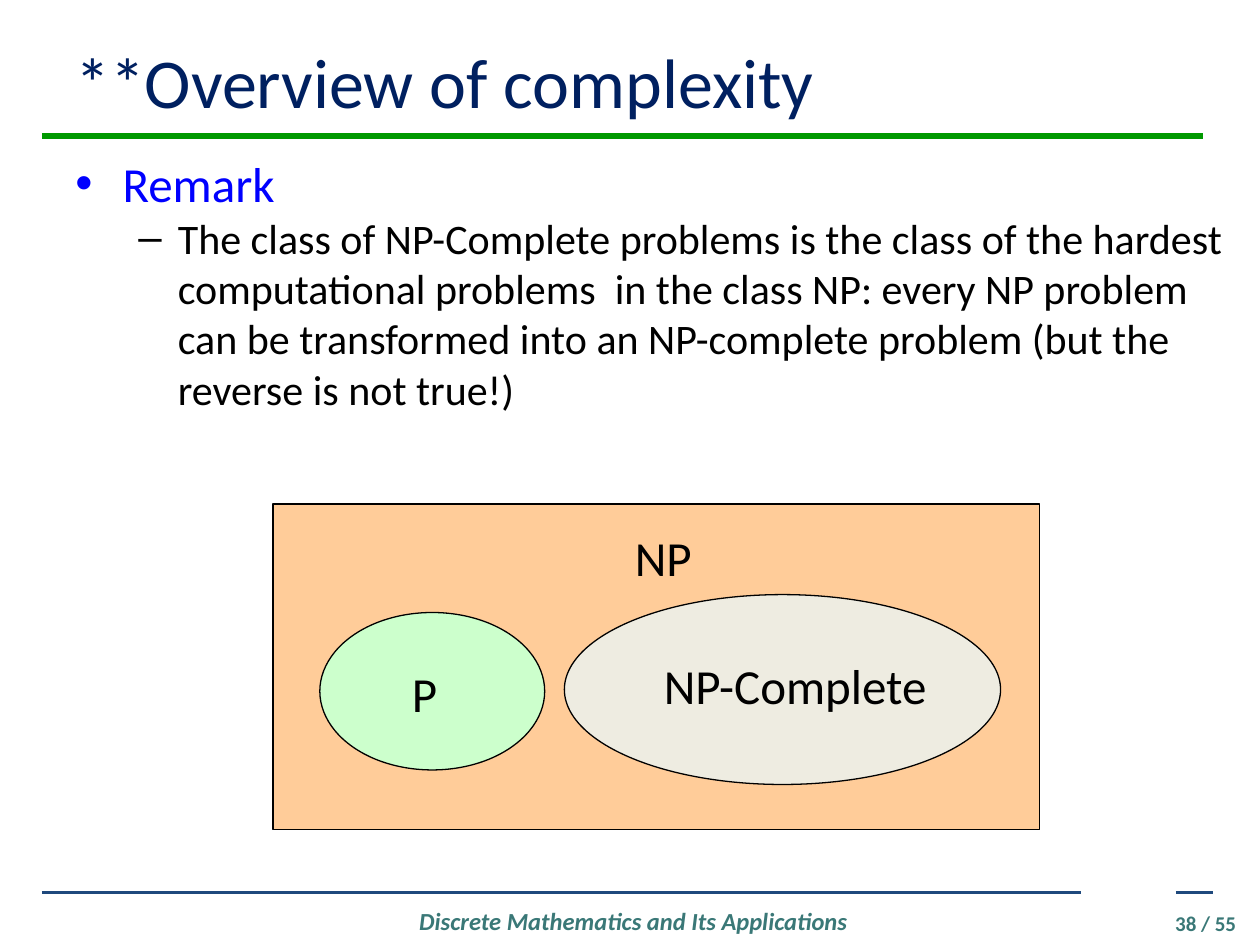
import pptx
import pptx.util
import pptx.dml.color
import pptx.enum.shapes
import pptx.enum.text
import pptx.oxml
import pptx.oxml.ns

Pt = pptx.util.Pt
Align = pptx.enum.text.PP_ALIGN
Anchor = pptx.enum.text.MSO_ANCHOR
Shape = pptx.enum.shapes.MSO_SHAPE

COLOURS = {
    "title": "002060",
    "remark": "0000FF",
    "text": "000000",
    "footer": "3A7877",
    "title_rule": "009900",
    "footer_rule": "1F497D",
    "np": "FFCC99",
    "p": "CCFFCC",
    "np_complete": "EEECE1",
}


def colour(name):
    """Return the named colour."""
    return pptx.dml.color.RGBColor.from_string(COLOURS[name])


class SlideBuilder:
    """Hold the style and the current slide."""

    body_font = "Calibri"
    footer_font = "Arial"
    outline = 0.75

    def __init__(self, presentation):
        """Add a blank slide to the presentation."""
        self.slide = presentation.slides.add_slide(presentation.slide_layouts[6])
        self.shapes = self.slide.shapes

    def start_group(self):
        """Place the following elements in a new group."""
        self.shapes = self.slide.shapes.add_group_shape().shapes

    def end_group(self):
        """Place the following elements on the slide itself."""
        self.shapes = self.slide.shapes

    def rule(self, left, right, top, width, name):
        """Draw a horizontal line."""
        straight = pptx.enum.shapes.MSO_CONNECTOR.STRAIGHT
        line = self.shapes.add_connector(straight, Pt(left), Pt(top), Pt(right), Pt(top))
        line.line.width = Pt(width)
        line.line.color.rgb = colour(name)
        line._element.spPr.append(pptx.oxml.parse_xml(
            f'<a:effectLst {pptx.oxml.ns.nsdecls("a")}/>'))

    def region(self, kind, box, name):
        """Draw an outlined shape that stands for a complexity class."""
        shape = self.shapes.add_shape(kind, *map(Pt, box))
        shape.shadow.inherit = False
        shape.fill.solid()
        shape.fill.fore_color.rgb = colour(name)
        shape.line.color.rgb = colour("text")
        shape.line.width = Pt(self.outline)

    def frame(self, box, wrap=True, anchor=Anchor.TOP):
        """Add a text box and return its text frame."""
        frame = self.shapes.add_textbox(*map(Pt, box)).text_frame
        settings = {"word_wrap": wrap, "vertical_anchor": anchor}
        for key, value in settings.items():
            setattr(frame, key, value)
        return frame

    def fill_paragraph(self, paragraph, text, size, name="text", align=Align.LEFT, **extra):
        """Put formatted text into a paragraph."""
        paragraph.text = text
        paragraph.alignment = align
        font = paragraph.runs[0].font
        font.color.rgb = colour(name)
        for key, value in {"name": self.body_font, "size": Pt(size), **extra}.items():
            setattr(font, key, value)

    def label(self, box, text, size, name="text", align=Align.LEFT,
              wrap=True, anchor=Anchor.TOP, **extra):
        """Add a text box with one paragraph."""
        frame = self.frame(box, wrap, anchor)
        self.fill_paragraph(frame.paragraphs[0], text, size, name, align, **extra)

    def bullets(self, box, items):
        """Add a text box with a list of bulleted paragraphs."""
        frame = self.frame(box)
        namespace = pptx.oxml.ns.nsdecls("a")
        for index, (text, size, name, level, mark, margin, indent) in enumerate(items):
            paragraph = frame.add_paragraph() if index else frame.paragraphs[0]
            paragraph.level = level
            properties = paragraph._p.get_or_add_pPr()
            properties.set("marL", str(Pt(margin)))
            properties.set("indent", str(Pt(indent)))
            for xml in (
                f'<a:buClr {namespace}><a:srgbClr val="{COLOURS[name]}"/></a:buClr>',
                f'<a:buFont {namespace} typeface="Arial"/>',
                f'<a:buChar {namespace} char="{mark}"/>',
            ):
                properties.append(pptx.oxml.parse_xml(xml))
            self.fill_paragraph(paragraph, text, size, name)


def main():
    """Build the slide and save it."""
    presentation = pptx.Presentation()
    presentation.slide_width = Pt(720)
    presentation.slide_height = Pt(540)
    builder = SlideBuilder(presentation)

    builder.rule(24, 687.6, 77.8, 3, "title_rule")
    for left, right in ((24, 618), (672, 693)):
        builder.rule(left, right, 510, 2.25, "footer_rule")

    footer = {"name": "footer", "bold": True}
    footer_font = {"bold": True}
    builder.label((204, 514, 316, 24.5), "Discrete Mathematics and Its Applications",
                  14, "footer", Align.CENTER, italic=True, **footer_font)
    builder.label((640, 517, 73.5, 17.3), "38 / 55", 12, "footer", Align.RIGHT,
                  **footer_font)

    builder.bullets((36, 84, 672, 156), [
        ("Remark", 28, "remark", 0, "•", 27, -27),
        ("The class of NP-Complete problems is the class of the hardest computational "
         "problems  in the class NP: every NP problem can be transformed into an "
         "NP-complete problem (but the reverse is not true!)",
         24, "text", 1, "–", 58.5, -22.5),
    ])

    builder.start_group()
    for kind, region, name, text, box, wrap in (
        (Shape.RECTANGLE, (156, 288, 438, 186), "np",
         "NP", (355.7, 298, 56.2, 41), True),
        (Shape.OVAL, (182.75, 350, 128.5, 90), "p",
         "P", (228.25, 375.8, 28.8, 41), False),
        (Shape.OVAL, (322.5, 339.8, 249.25, 108.5), "np_complete",
         "NP-Complete", (372.25, 370.8, 165.6, 41), False),
    ):
        builder.region(kind, region, name)
        builder.label(box, text, 28, wrap=wrap)
    builder.end_group()

    builder.label((36, 18, 648, 55.5), "**Overview of complexity", 40, "title",
                  anchor=Anchor.MIDDLE)
    presentation.save("out.pptx")


if __name__ == "__main__":
    main()
